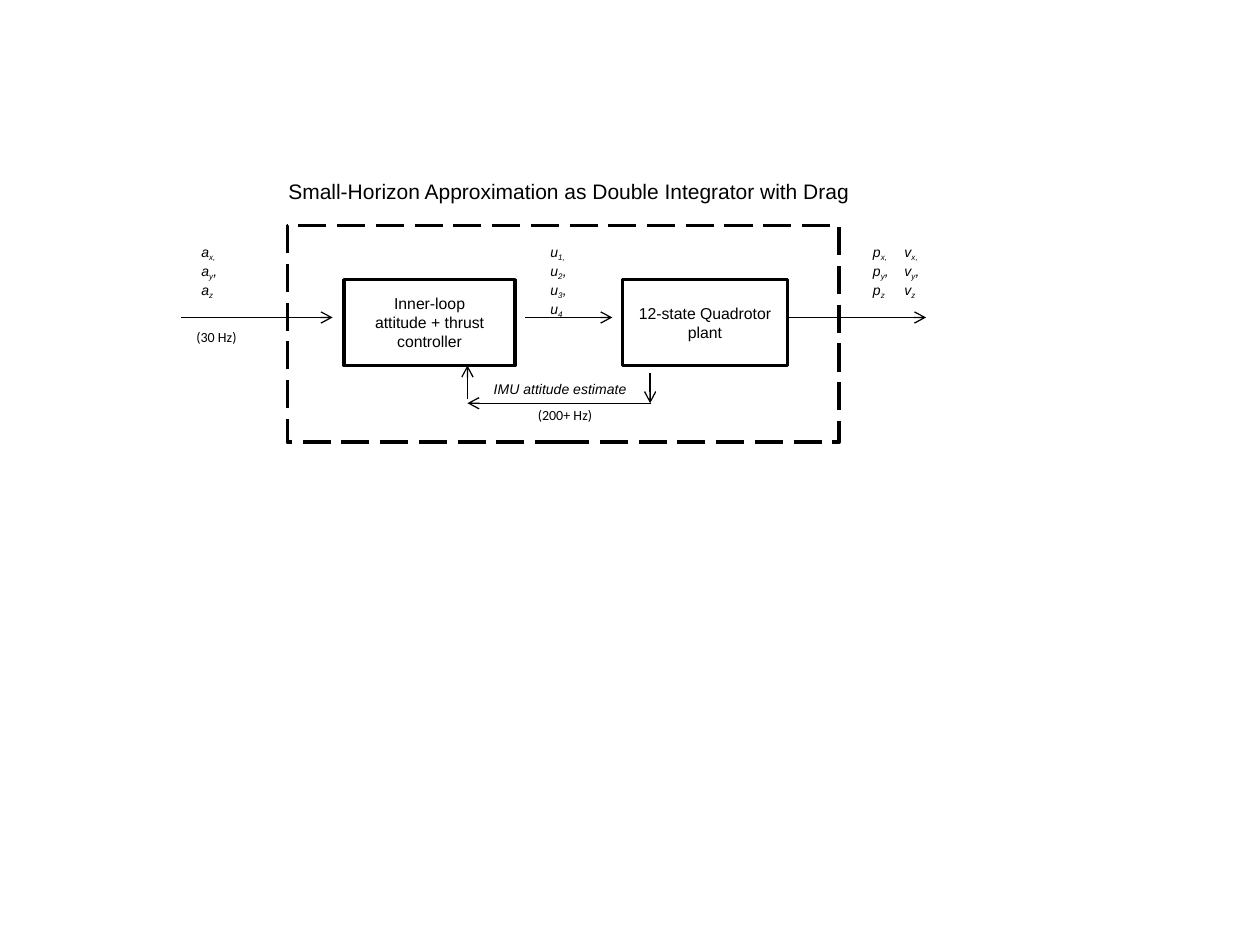
"""Build a block diagram of a quadrotor control loop."""
import pptx
import pptx.dml.color
import pptx.enum.dml
import pptx.enum.shapes
import pptx.enum.text
import pptx.oxml.ns
import pptx.util
from lxml import etree
from pptx.util import Inches

BLACK = pptx.dml.color.RGBColor(0, 0, 0)
WHITE = pptx.dml.color.RGBColor(255, 255, 255)
SIGNAL_Y = 2.52
FEEDBACK_Y = 3.2
VECTOR_TOP = 1.88


def add_line_child(connector, tag, **attributes):
    line = connector.line._get_or_add_ln()
    etree.SubElement(line, pptx.oxml.ns.qn(tag), **attributes)


def format_run(run, size, font_name="Arial", italic=False):
    run.font.size = pptx.util.Pt(size)
    run.font.name = font_name
    run.font.italic = italic
    run.font.color.rgb = BLACK


def add_box(slide, left, top, width, height, lines=(), dashed=False):
    shape = slide.shapes.add_shape(
        pptx.enum.shapes.MSO_SHAPE.RECTANGLE,
        Inches(left), Inches(top), Inches(width), Inches(height))
    shape.shadow.inherit = False
    shape.line.color.rgb = BLACK
    shape.line.width = pptx.util.Pt(2)
    if dashed:
        shape.fill.background()
        shape.line.dash_style = pptx.enum.dml.MSO_LINE.LONG_DASH
    else:
        shape.fill.solid()
        shape.fill.fore_color.rgb = WHITE
    if lines:
        text_frame = shape.text_frame
        text_frame.text = "\n".join(lines)
        text_frame.vertical_anchor = pptx.enum.text.MSO_ANCHOR.MIDDLE
        for paragraph in text_frame.paragraphs:
            paragraph.alignment = pptx.enum.text.PP_ALIGN.CENTER
            for run in paragraph.runs:
                format_run(run, 9)


def add_arrow(slide, start, end):
    connector = slide.shapes.add_connector(
        pptx.enum.shapes.MSO_CONNECTOR.STRAIGHT,
        *(Inches(value) for value in start + end))
    connector.line.color.rgb = BLACK
    connector.line.width = pptx.util.Pt(0.75)
    add_line_child(connector, "a:tailEnd", type="arrow")
    etree.SubElement(connector._element.spPr, pptx.oxml.ns.qn("a:effectLst"))


def add_text_box(slide, left, top, width, height, wrap):
    text_box = slide.shapes.add_textbox(
        Inches(left), Inches(top), Inches(width), Inches(height))
    text_frame = text_box.text_frame
    text_frame.word_wrap = wrap
    text_frame.auto_size = pptx.enum.text.MSO_AUTO_SIZE.SHAPE_TO_FIT_TEXT
    return text_frame


def add_label(slide, left, top, width, height, text, size=8,
              font_name="Arial", italic=False, wrap=False):
    text_frame = add_text_box(slide, left, top, width, height, wrap)
    text_frame.text = text
    format_run(text_frame.paragraphs[0].runs[0], size, font_name, italic)


def add_vector(slide, left, height, rows):
    """Write one paragraph per row, with every second part as a subscript."""
    text_frame = add_text_box(slide, left, VECTOR_TOP, 0.4, height, True)
    for index, parts in enumerate(rows):
        paragraph = text_frame.add_paragraph() if index else text_frame.paragraphs[0]
        for position, part in enumerate(parts):
            run = paragraph.add_run()
            run.text = part
            format_run(run, 8, italic=True)
            if position % 2:
                run._r.get_or_add_rPr().set("baseline", "-25000")


def add_axis_vector(slide, left, symbol):
    rows = [(symbol, "x,"), (symbol, "y", ","), (symbol, "z")]
    add_vector(slide, left, 0.5, rows)


def main():
    presentation = pptx.Presentation()
    presentation.slide_width = Inches(10)
    presentation.slide_height = Inches(7.5)
    slide = presentation.slides.add_slide(presentation.slide_layouts[6])

    add_box(slide, 2.73, 2.22, 1.36, 0.68,
            ["Inner-loop", "attitude + thrust controller"])
    add_box(slide, 4.94, 2.22, 1.31, 0.68, ["12-state Quadrotor", "plant"])

    for start_x, end_x in [(1.44, 2.64), (4.17, 4.86), (6.24, 7.35)]:
        add_arrow(slide, (start_x, SIGNAL_Y), (end_x, SIGNAL_Y))
    add_vector(slide, 4.27, 0.64,
               [("u", "1,", " u", "2", ", u", "3", ", u", "4")])

    add_arrow(slide, (5.17, FEEDBACK_Y), (3.71, FEEDBACK_Y))
    add_arrow(slide, (5.16, 2.96), (5.16, FEEDBACK_Y))
    add_arrow(slide, (3.71, 3.17), (3.71, 2.9))
    add_label(slide, 3.82, 2.97, 1.41, 0.24, "IMU attitude estimate",
              italic=True, wrap=True)

    add_box(slide, 2.28, 1.79, 4.38, 1.72, dashed=True)
    add_label(slide, 2.19, 1.37, 4.7, 0.3,
              "Small-Horizon Approximation as Double Integrator with Drag", 12)

    for left, symbol in [(1.5, "a"), (6.83, "p"), (7.08, "v")]:
        add_axis_vector(slide, left, symbol)
    add_label(slide, 1.46, 2.56, 0.52, 0.24, "(30 Hz)", font_name="Calibri")
    add_label(slide, 4.17, 3.18, 0.64, 0.24, "(200+ Hz)", font_name="Calibri")

    presentation.save("out.pptx")


main()
